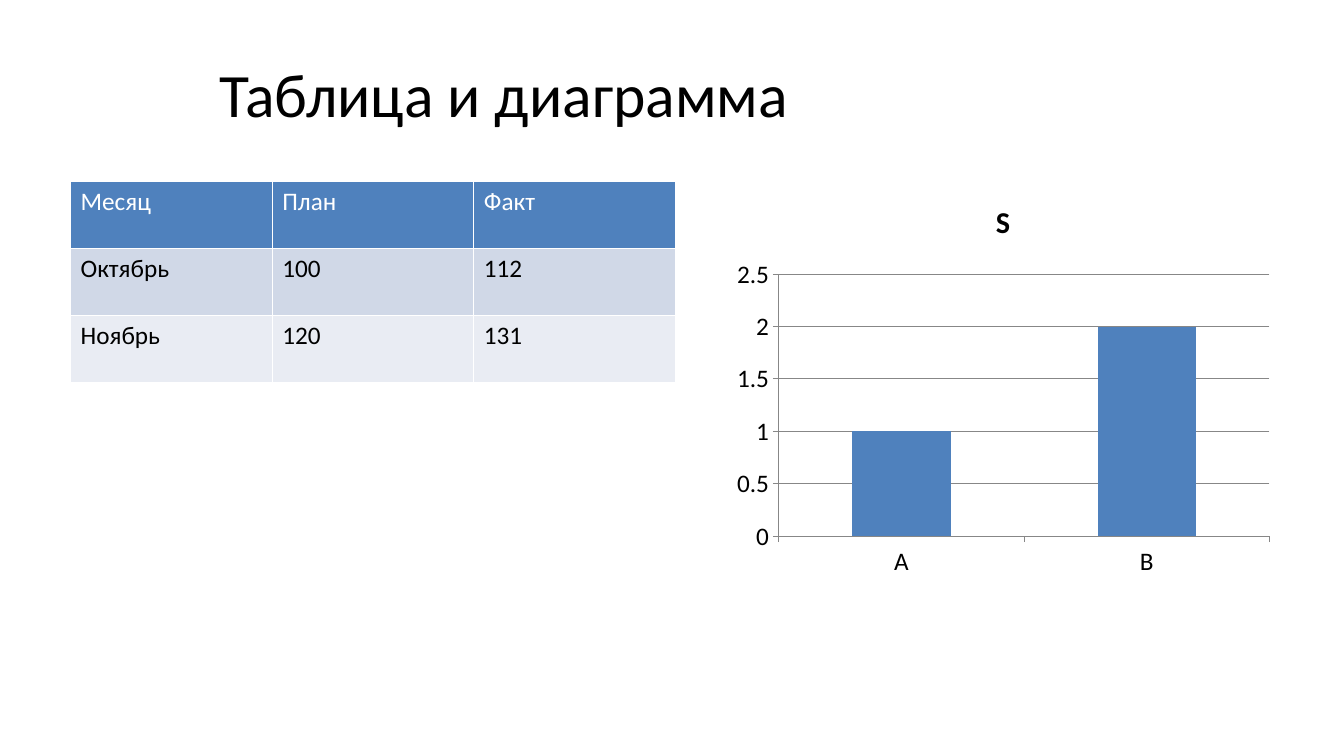
from lxml.etree import SubElement
from pptx import Presentation
from pptx.chart.data import CategoryChartData
from pptx.dml.color import RGBColor
from pptx.enum.chart import XL_CHART_TYPE, XL_TICK_MARK
from pptx.enum.text import MSO_ANCHOR, PP_ALIGN
from pptx.oxml.ns import qn
from pptx.util import Inches, Pt

TITLE = "Таблица и диаграмма"
ROWS = [
    ("Месяц", "План", "Факт"),
    ("Октябрь", "100", "112"),
    ("Ноябрь", "120", "131"),
]
BARS = {"A": 1, "B": 2}
SERIES = "S"
COLORS = {
    "text": "000000",
    "white": "FFFFFF",
    "blue": "4F81BD",
    "band": "D0D8E7",
    "pale": "E9ECF3",
    "axis": "878787",
}
FILLS = ("blue", "band", "pale")
PLACES = {
    "title": (0.5, 0.3, 9, 1.25),
    "table": (0.7, 1.8, 6, 2),
    "chart": (7.2, 1.8, 5.5, 4),
}


def color(name):
    return RGBColor.from_string(COLORS[name])


def place(name):
    return [Inches(n) for n in PLACES[name]]


def style(font, size, tint="text", bold=False):
    for key, value in {"name": "Calibri", "size": Pt(size), "bold": bold}.items():
        setattr(font, key, value)
    font.color.rgb = color(tint)


def rule(line):
    line.color.rgb = color("axis")
    line.width = Pt(0.75)


def edge(cell):
    props = cell._tc.get_or_add_tcPr()
    for i, side in enumerate(("lnL", "lnR", "lnT", "lnB")):
        line = props.makeelement(qn(f"a:{side}"), {"w": str(Pt(0.96))})
        fill = SubElement(line, qn("a:solidFill"))
        SubElement(fill, qn("a:srgbClr"), val=COLORS["white"])
        props.insert(i, line)


def add_title(slide):
    title = slide.shapes.title
    title.left, title.top, title.width, title.height = place("title")
    frame = title.text_frame
    frame.text = TITLE
    frame.vertical_anchor = MSO_ANCHOR.MIDDLE
    para = frame.paragraphs[0]
    para.alignment = PP_ALIGN.CENTER
    style(para.runs[0].font, 44)


def add_grid(slide):
    table = slide.shapes.add_table(len(ROWS), len(ROWS[0]), *place("table")).table
    for r, (row, fill) in enumerate(zip(ROWS, FILLS)):
        for c, text in enumerate(row):
            cell = table.cell(r, c)
            cell.text = text
            cell.fill.solid()
            cell.fill.fore_color.rgb = color(fill)
            tint = "text" if r else "white"
            style(cell.text_frame.paragraphs[0].runs[0].font, 18, tint)
            edge(cell)


def add_bars(slide):
    data = CategoryChartData()
    data.categories = list(BARS)
    data.add_series(SERIES, list(BARS.values()))
    kind = XL_CHART_TYPE.COLUMN_CLUSTERED
    chart = slide.shapes.add_chart(kind, *place("chart"), data).chart
    style(chart.font, 18)
    chart.has_legend = False
    chart.has_title = True
    head = chart.chart_title.text_frame
    head.text = SERIES
    style(head.paragraphs[0].runs[0].font, 21.6, bold=True)
    for axis in (chart.category_axis, chart.value_axis):
        axis.major_tick_mark = XL_TICK_MARK.OUTSIDE
        axis.minor_tick_mark = XL_TICK_MARK.NONE
        style(axis.tick_labels.font, 18)
        rule(axis.format.line)
    rule(chart.value_axis.major_gridlines.format.line)
    plot = chart.plots[0]
    plot.gap_width = 150
    plot.vary_by_categories = False
    fill = plot.series[0].format.fill
    fill.solid()
    fill.fore_color.rgb = color("blue")


def main():
    deck = Presentation()
    deck.slide_width, deck.slide_height = Inches(13.33), Inches(7.5)
    slide = deck.slides.add_slide(deck.slide_layouts[5])
    add_title(slide)
    add_grid(slide)
    add_bars(slide)
    deck.save("out.pptx")


if __name__ == "__main__":
    main()
